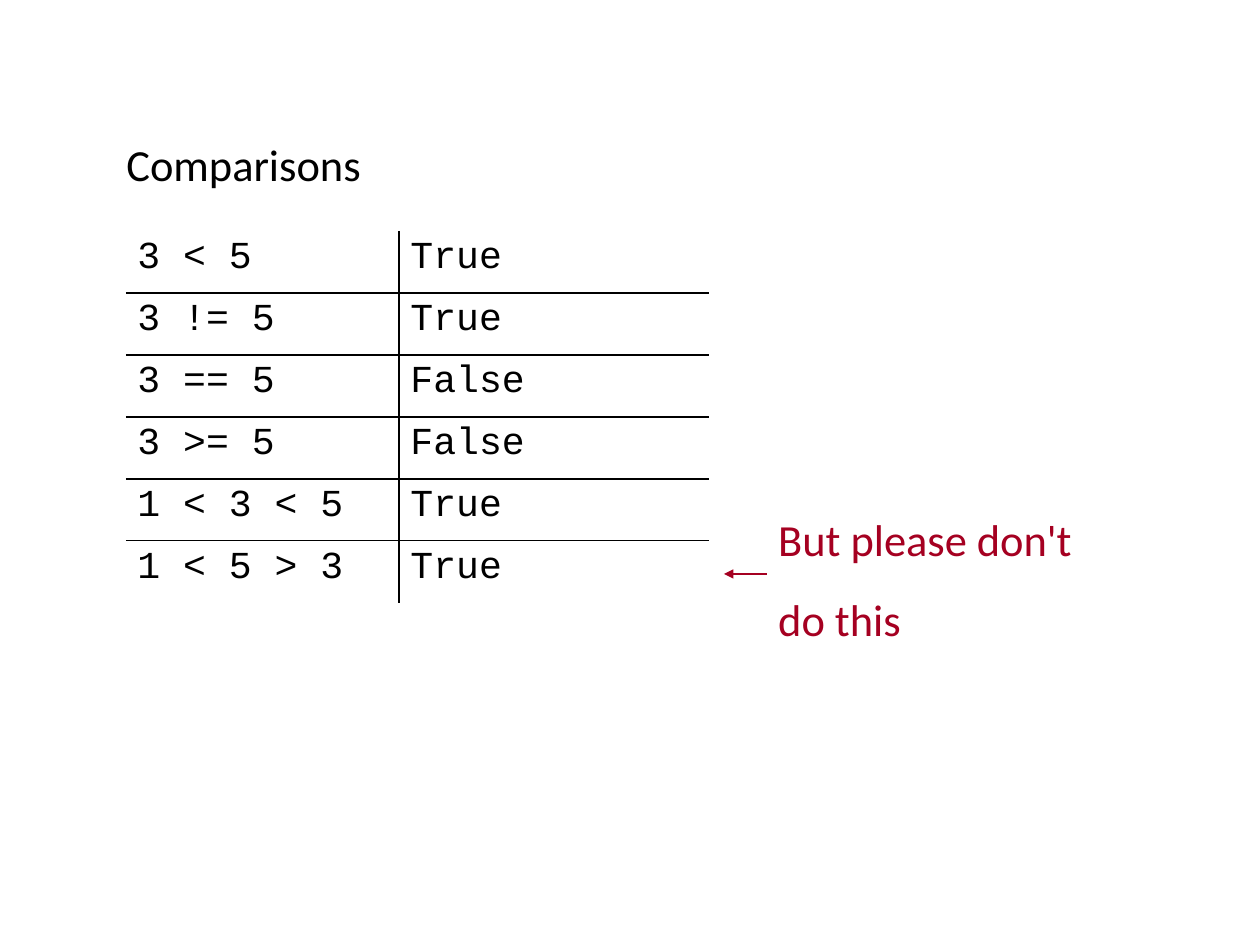
import pptx
import pptx.dml.color
import pptx.enum.shapes
import pptx.enum.text
import pptx.oxml.ns
import pptx.util
from lxml import etree

# Content
TITLE = "Comparisons"
COMPARISONS = [
    ("3 < 5", "True"),
    ("3 != 5", "True"),
    ("3 == 5", "False"),
    ("3 >= 5", "False"),
    ("1 < 3 < 5", "True"),
    ("1 < 5 > 3", "True"),
]
NOTE = ["But please don't", "do this"]

# Layout in px
SLIDE_SIZE = (1260, 945)
TITLE_BOX = (115, 105, 259, 83)
NOTE_BOX = (767, 480, 320, 173)
TABLE_LEFT, TABLE_TOP = 126, 231
COLUMN_WIDTHS = (273, 310)
ROW_HEIGHT = 62
ARROW = (767, 574, 724, 574)

# Formats
BLACK, RED = "000000", "A50021"
HEADING_FONT = {"name": "Calibri", "size": pptx.util.Pt(28), "bold": False}
CODE_FONT = {"name": "Courier New", "size": pptx.util.Pt(24), "bold": False}
HEADING_PARA = {"line_spacing": 1.5, "alignment": pptx.enum.text.PP_ALIGN.LEFT}
CODE_PARA = {"line_spacing": 0.93, "space_after": pptx.util.Pt(14.2)}
BOX_FRAME = {
    "word_wrap": False,
    "auto_size": pptx.enum.text.MSO_AUTO_SIZE.SHAPE_TO_FIT_TEXT,
    "vertical_anchor": pptx.enum.text.MSO_ANCHOR.TOP,
}


def px(*lengths):
    return [pptx.util.Emu(length * 8000) for length in lengths]


def rgb(color):
    return pptx.dml.color.RGBColor.from_string(color)


def set_all(target, values):
    for name, value in values.items():
        setattr(target, name, value)


def write(frame, lines, para_format, font_format, color):
    frame.text = "\n".join(lines)
    for para in frame.paragraphs:
        set_all(para, para_format)
        for span in para.runs:
            set_all(span.font, font_format)
            span.font.color.rgb = rgb(color)


def add_child(parent, tag, **attributes):
    return etree.SubElement(parent, pptx.oxml.ns.qn(tag), **attributes)


def set_borders(cell, visible_sides):
    properties = cell._tc.get_or_add_tcPr()
    for side in "LRTB":
        line = add_child(properties, f"a:ln{side}", w="12700")
        if side in visible_sides:
            fill = add_child(line, "a:solidFill")
            add_child(fill, "a:srgbClr", val=BLACK)
        else:
            add_child(line, "a:noFill")


def add_title(page):
    title = page.shapes.title
    title.left, title.top, title.width, title.height = px(*TITLE_BOX)
    set_all(title.text_frame, BOX_FRAME)
    write(title.text_frame, [TITLE], HEADING_PARA, HEADING_FONT, BLACK)


def add_comparisons(page):
    row_count, column_count = len(COMPARISONS), len(COLUMN_WIDTHS)
    size = (sum(COLUMN_WIDTHS), ROW_HEIGHT * row_count)
    table = page.shapes.add_table(
        row_count, column_count, *px(TABLE_LEFT, TABLE_TOP, *size)).table
    set_all(table, {"first_row": False, "horz_banding": False})
    for column, width in zip(table.columns, px(*COLUMN_WIDTHS)):
        column.width = width
    for r, values in enumerate(COMPARISONS):
        table.rows[r].height = px(ROW_HEIGHT)[0]
        for c, value in enumerate(values):
            cell = table.cell(r, c)
            # Only the inner edges of the grid are drawn
            inner = {"L": c > 0, "R": c < column_count - 1,
                     "T": r > 0, "B": r < row_count - 1}
            set_borders(cell, [side for side in inner if inner[side]])
            cell.fill.background()
            write(cell.text_frame, [value], CODE_PARA, CODE_FONT, BLACK)


def add_note(page):
    box = page.shapes.add_textbox(*px(*NOTE_BOX))
    set_all(box.text_frame, BOX_FRAME)
    write(box.text_frame, NOTE, HEADING_PARA, HEADING_FONT, RED)

    # Arrow from the note to the last row
    arrow = page.shapes.add_connector(
        pptx.enum.shapes.MSO_CONNECTOR.STRAIGHT, *px(*ARROW))
    arrow.line.color.rgb = rgb(RED)
    arrow.line.width = pptx.util.Pt(0.75)
    add_child(arrow.line._get_or_add_ln(), "a:tailEnd", type="triangle")
    add_child(arrow._element.spPr, "a:effectLst")


def main():
    deck = pptx.Presentation()
    deck.slide_width, deck.slide_height = px(*SLIDE_SIZE)
    page = deck.slides.add_slide(deck.slide_layouts.get_by_name("Title Only"))
    add_title(page)
    add_comparisons(page)
    add_note(page)
    deck.save("out.pptx")


if __name__ == "__main__":
    main()
